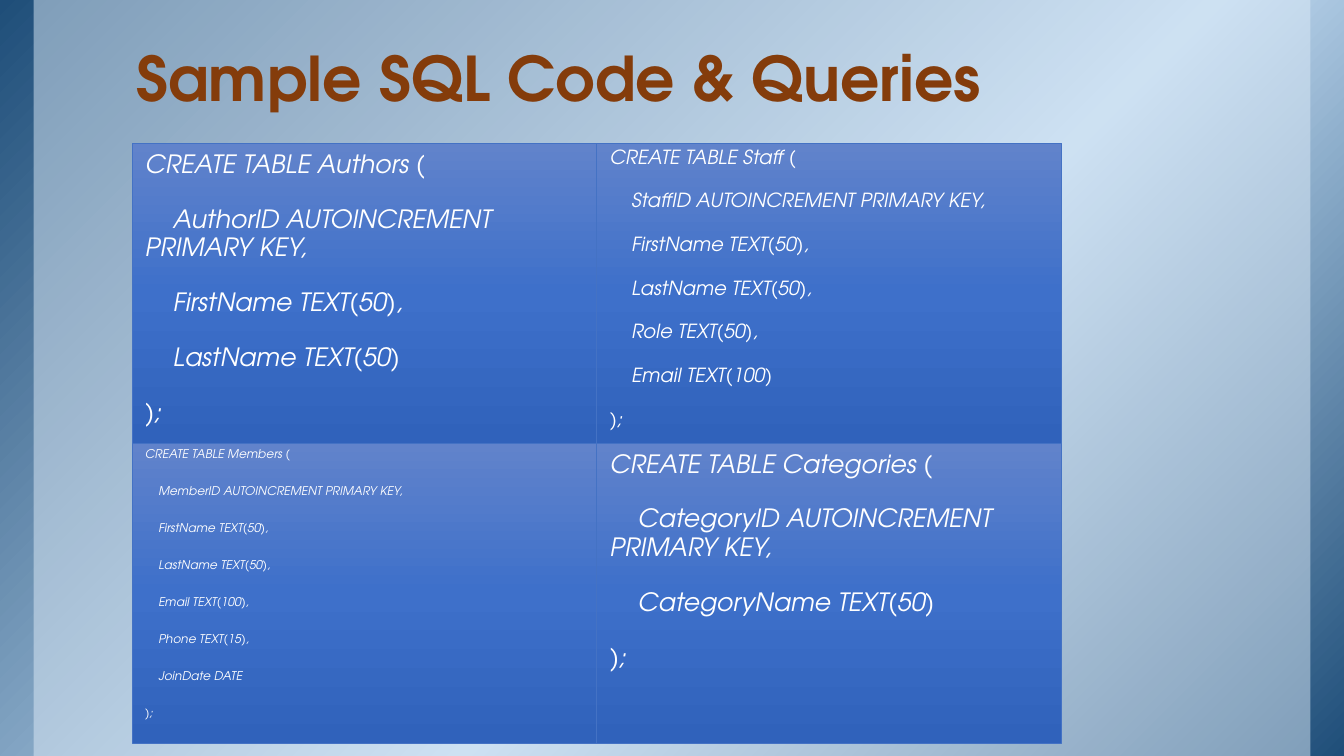
from dataclasses import dataclass

from lxml import etree
from pptx import Presentation
from pptx import util as u
from pptx.dml.color import RGBColor
from pptx.enum import shapes, text
from pptx.oxml import ns

WIDE, HIGH = 13.33, 7.5


# Colours and type sizes
@dataclass(frozen=True)
class Theme:
    font: str = "TeX Gyre Adventor"
    title: str = "843C0B"
    code: str = "FFFFFF"
    edge: str = "4472C4"
    veil: str = "DEEBF7"
    back: tuple = ((0, "1F4E79"), (58, "BDD7EE"), (100, "1F4E79"))
    card: tuple = ((0, "6183CB"), (50, "3E70CA"), (100, "3062BB"))
    head: float = 44
    large: float = 18
    mid: float = 13.9
    small: float = 8.6
    gap: float = 18.7
    tab: float = 1.11  # first-line indent per point of type


THEME = Theme()


# Grid of two columns and two rows, as shares of the slide
@dataclass(frozen=True)
class Grid:
    left: float = 0.0983
    top: float = 0.1893
    wide: float = 0.3458
    high: float = 0.3967

    def cell(self, col: int, row: int) -> tuple:
        return (self.left + col * self.wide, self.top + row * self.high,
                self.wide, self.high)


@dataclass(frozen=True)
class Card:
    col: int
    row: int
    size: float
    lead: float
    name: str
    fields: tuple


CARDS = (
    Card(0, 0, THEME.large, 0.95, "Authors", (
        "AuthorID AUTOINCREMENT PRIMARY KEY", "FirstName TEXT(50)",
        "LastName TEXT(50)")),
    Card(1, 0, THEME.mid, 0.75, "Staff", (
        "StaffID AUTOINCREMENT PRIMARY KEY", "FirstName TEXT(50)",
        "LastName TEXT(50)", "Role TEXT(50)", "Email TEXT(100)")),
    Card(0, 1, THEME.small, 0.75, "Members", (
        "MemberID AUTOINCREMENT PRIMARY KEY", "FirstName TEXT(50)",
        "LastName TEXT(50)", "Email TEXT(100)", "Phone TEXT(15)",
        "JoinDate DATE")),
    Card(1, 1, THEME.large, 0.95, "Categories", (
        "CategoryID AUTOINCREMENT PRIMARY KEY", "CategoryName TEXT(50)")),
)


def place(left: float, top: float, wide: float, high: float) -> tuple:
    return (u.Inches(left * WIDE), u.Inches(top * HIGH),
            u.Inches(wide * WIDE), u.Inches(high * HIGH))


def add_box(slide, *area: float):
    box = slide.shapes.add_shape(shapes.MSO_SHAPE.RECTANGLE, *place(*area))
    box.shadow.inherit = False
    box.line.fill.background()
    return box


def blend(box, stops: tuple, angle: int) -> None:
    box.fill.gradient()
    box.fill.gradient_angle = 360 - angle
    steps = box.element.spPr.find(ns.qn("a:gradFill")).find(ns.qn("a:gsLst"))
    for old in list(steps):
        steps.remove(old)
    for pos, tint in stops:
        step = etree.SubElement(steps, ns.qn("a:gs"), pos=str(pos * 1000))
        etree.SubElement(step, ns.qn("a:srgbClr"), val=tint)


def set_frame(frame, anchor) -> None:
    frame.word_wrap = True
    frame.vertical_anchor = anchor
    frame.margin_left = frame.margin_right = u.Inches(0.13)
    frame.margin_top = frame.margin_bottom = u.Inches(0.07)


def style(para, size: float, tint: str, lead: float,
          bold: bool = False, slant: bool = False) -> None:
    para.alignment = text.PP_ALIGN.LEFT
    para.line_spacing = lead
    for run in para.runs:
        font = run.font
        font.name, font.size = THEME.font, u.Pt(size)
        font.bold, font.italic = bold, slant
        font.color.rgb = RGBColor.from_string(tint)


def draw_back(slide) -> None:
    blend(add_box(slide, 0, 0, 1, 1), THEME.back, 45)
    veil = add_box(slide, 0.025, 0, 0.95, 1)
    veil.fill.solid()
    veil.fill.fore_color.rgb = RGBColor.from_string(THEME.veil)
    tint = next(veil.element.spPr.iter(ns.qn("a:srgbClr")))
    etree.SubElement(tint, ns.qn("a:alpha"), val="50000")


def draw_title(slide, words: str) -> None:
    box = slide.shapes.add_textbox(*place(0.0915, 0.056, 0.8335, 0.104))
    set_frame(box.text_frame, text.MSO_ANCHOR.BOTTOM)
    box.text_frame.text = words
    style(box.text_frame.paragraphs[0], THEME.head, THEME.title, 0.85,
          bold=True)


def draw_card(slide, card: Card, grid: Grid) -> None:
    box = add_box(slide, *grid.cell(card.col, card.row))
    blend(box, THEME.card, 90)
    box.line.color.rgb = RGBColor.from_string(THEME.edge)
    box.line.width = u.Pt(0.5)
    frame = box.text_frame
    set_frame(frame, text.MSO_ANCHOR.TOP)
    body = ",\n".join(card.fields)
    frame.text = f"CREATE TABLE {card.name} (\n{body}\n);"
    for para in frame.paragraphs:
        style(para, card.size, THEME.code, card.lead, slant=True)
        para.space_before = u.Pt(THEME.gap)
    # Field lines step in on their first line only
    for para in frame.paragraphs[1:-1]:
        props = para._p.get_or_add_pPr()
        props.set("marL", "0")
        props.set("indent", str(u.Pt(card.size * THEME.tab)))


def main() -> None:
    deck = Presentation()
    deck.slide_width, deck.slide_height = u.Inches(WIDE), u.Inches(HIGH)
    slide = deck.slides.add_slide(deck.slide_layouts[6])
    draw_back(slide)
    draw_title(slide, "Sample SQL Code & Queries")
    for card in CARDS:
        draw_card(slide, card, Grid())
    deck.save("out.pptx")


if __name__ == "__main__":
    main()
